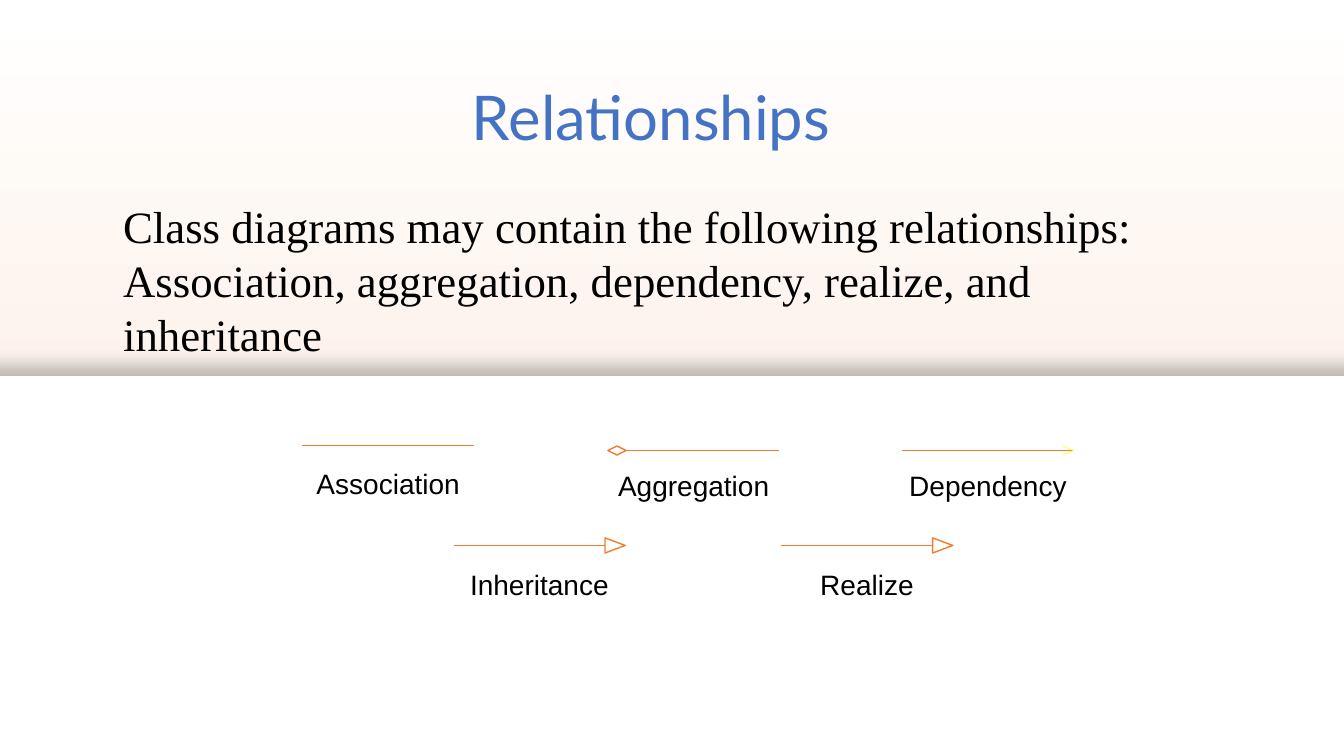
from lxml import etree
from pptx import Presentation
from pptx.dml.color import RGBColor
from pptx.enum import shapes, text
from pptx.oxml.ns import qn
from pptx.util import Pt

WHITE = RGBColor(0xFF, 0xFF, 0xFF)
BLACK = RGBColor(0x00, 0x00, 0x00)
PEACH = RGBColor(0xFB, 0xE5, 0xD6)
BLUE = RGBColor(0x44, 0x72, 0xC4)
ORANGE = RGBColor(0xED, 0x7D, 0x31)
YELLOW = RGBColor(0xFF, 0xFF, 0x66)

WIDTH, HEIGHT = 960, 540
ARROW = 122.6  # length of every relationship line
OVERHANG = 10  # how far a label box reaches past each end of its line

# name, left, line top, label top, symbol
RELATIONSHIPS = [
    ("Association", 216, 318.3, 329.8, None),
    ("Aggregation", 434.2, 321.8, 331.2, "diamond"),
    ("Dependency", 644.4, 321.8, 331.2, "open"),
    ("Inheritance", 324, 389.6, 401.8, "triangle"),
    ("Realize", 558, 389.6, 401.8, "triangle"),
]


def add_text(slide, box, words, font, frame, **para):
    """Add a one-paragraph text box with the given format values."""
    tf = slide.shapes.add_textbox(*map(Pt, box)).text_frame
    p = tf.paragraphs[0]
    r = p.add_run()
    r.text = words
    color = font.pop("color")
    for target, values in ((tf, frame), (p, para), (r.font, font)):
        for name, value in values.items():
            setattr(target, name, value)
    r.font.color.rgb = color


def add_line(slide, start, end, color, width):
    line = slide.shapes.add_connector(
        shapes.MSO_CONNECTOR.STRAIGHT, *map(Pt, (*start, *end)))
    line.line.color.rgb = color
    line.line.width = Pt(width)
    etree.SubElement(line._element.spPr, qn("a:effectLst"))


def add_outline(slide, points):
    """Add a closed white shape with an orange edge."""
    builder = slide.shapes.build_freeform(*map(Pt, points[0]), scale=1.0)
    builder.add_line_segments([tuple(map(Pt, pt)) for pt in points[1:]])
    sp = builder.convert_to_shape()
    sp.shadow.inherit = False
    sp.fill.solid()
    sp.fill.fore_color.rgb = WHITE
    sp.line.color.rgb = ORANGE
    sp.line.width = Pt(1)


def add_background(slide):
    fill = slide.background.fill
    fill.gradient()
    fill.gradient_angle = 270
    for stop, color in zip(fill.gradient_stops, (WHITE, PEACH)):
        stop.color.rgb = color


def add_panel(slide, box):
    """Add the white lower panel, which casts a soft shadow upwards."""
    sp = slide.shapes.add_shape(shapes.MSO_SHAPE.RECTANGLE, *map(Pt, box))
    sp.fill.solid()
    sp.fill.fore_color.rgb = WHITE
    sp.line.fill.background()
    sp.shadow.inherit = False
    effects = sp._element.spPr.find(qn("a:effectLst"))
    shadow = etree.SubElement(
        effects, qn("a:outerShdw"), blurRad=str(Pt(11)), dist=str(Pt(8)),
        dir="16200000", sx="104000", algn="b", rotWithShape="0")
    color = etree.SubElement(shadow, qn("a:srgbClr"), val=str(BLACK))
    etree.SubElement(color, qn("a:alpha"), val="24000")


def add_relationship(slide, name, left, y, label_top, symbol):
    right = left + ARROW
    add_line(slide, (left, y), (right, y), ORANGE, 0.5)
    if symbol == "diamond":
        add_outline(slide, [(left, y), (left + 6.5, y + 3.2),
                            (left + 13, y), (left + 6.5, y - 3.2)])
    elif symbol == "triangle":
        add_outline(slide, [(right, y), (right - 14.4, y + 5.4),
                            (right - 14.4, y - 5.4)])
    elif symbol == "open":
        for dy in (3.2, -3.2):
            add_line(slide, (right, y), (right - 8, y + dy), YELLOW, 0.75)
    add_text(slide, (left - OVERHANG, label_top, ARROW + 2 * OVERHANG, 31),
             name, dict(size=Pt(20), name="Arial", color=BLACK),
             dict(word_wrap=False), alignment=text.PP_ALIGN.CENTER)


def add_relationships_slide(prs):
    slide = prs.slides.add_slide(prs.slide_layouts[6])
    add_background(slide)
    add_panel(slide, (0, 268.6, WIDTH, HEIGHT - 268.6))
    add_text(slide, (110.9, 61.9, 708.5, 41.8), "Relationships",
             dict(size=Pt(44), name="Lato", color=BLUE),
             dict(word_wrap=True, vertical_anchor=text.MSO_ANCHOR.MIDDLE),
             alignment=text.PP_ALIGN.CENTER)
    add_text(slide, (79.2, 137.5, 808.6, 397.4),
             "Class diagrams may contain the following relationships: "
             "Association, aggregation, dependency, realize, and inheritance",
             dict(size=Pt(32), name="Times New Roman", color=BLACK),
             dict(word_wrap=True, margin_left=Pt(8.8), margin_right=Pt(8.8),
                  margin_top=Pt(4.4), margin_bottom=Pt(4.4)),
             line_spacing=1.0)
    for relationship in RELATIONSHIPS:
        add_relationship(slide, *relationship)


def main():
    prs = Presentation()
    prs.slide_width, prs.slide_height = Pt(WIDTH), Pt(HEIGHT)
    add_relationships_slide(prs)
    prs.save("out.pptx")


if __name__ == "__main__":
    main()
